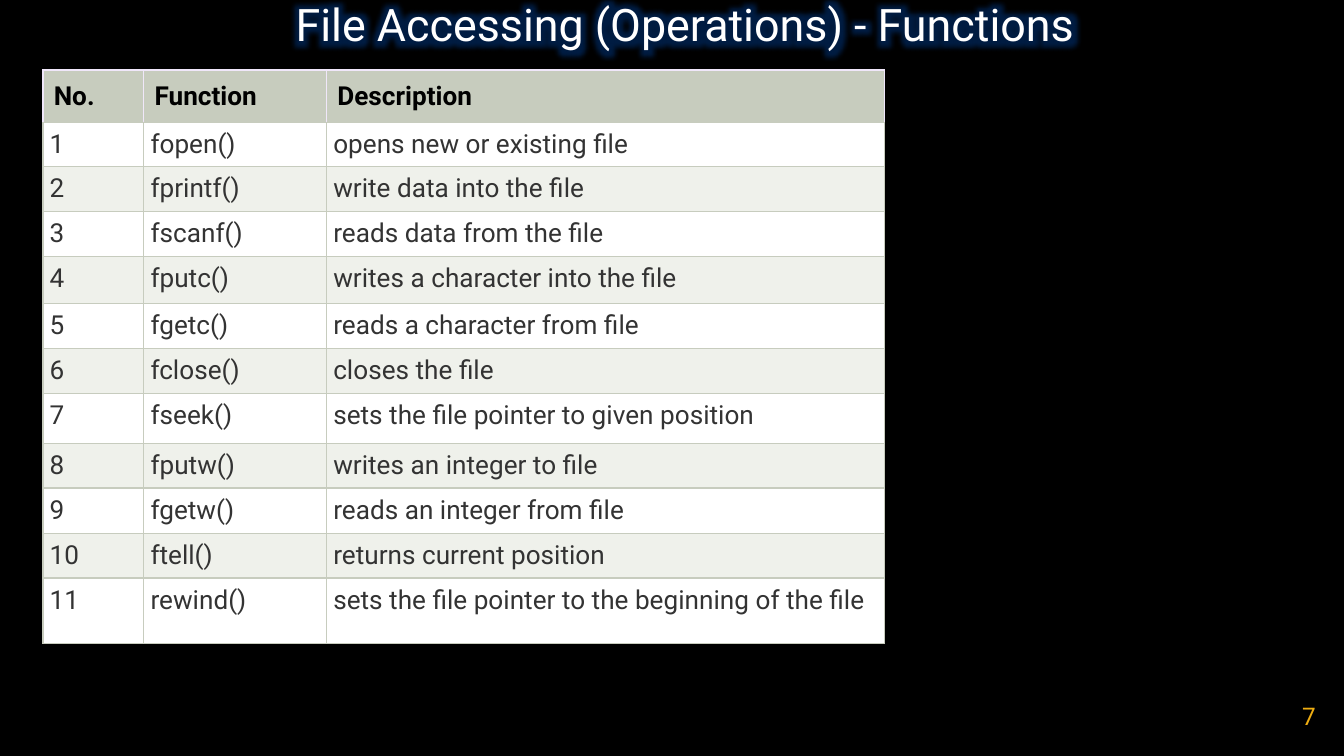
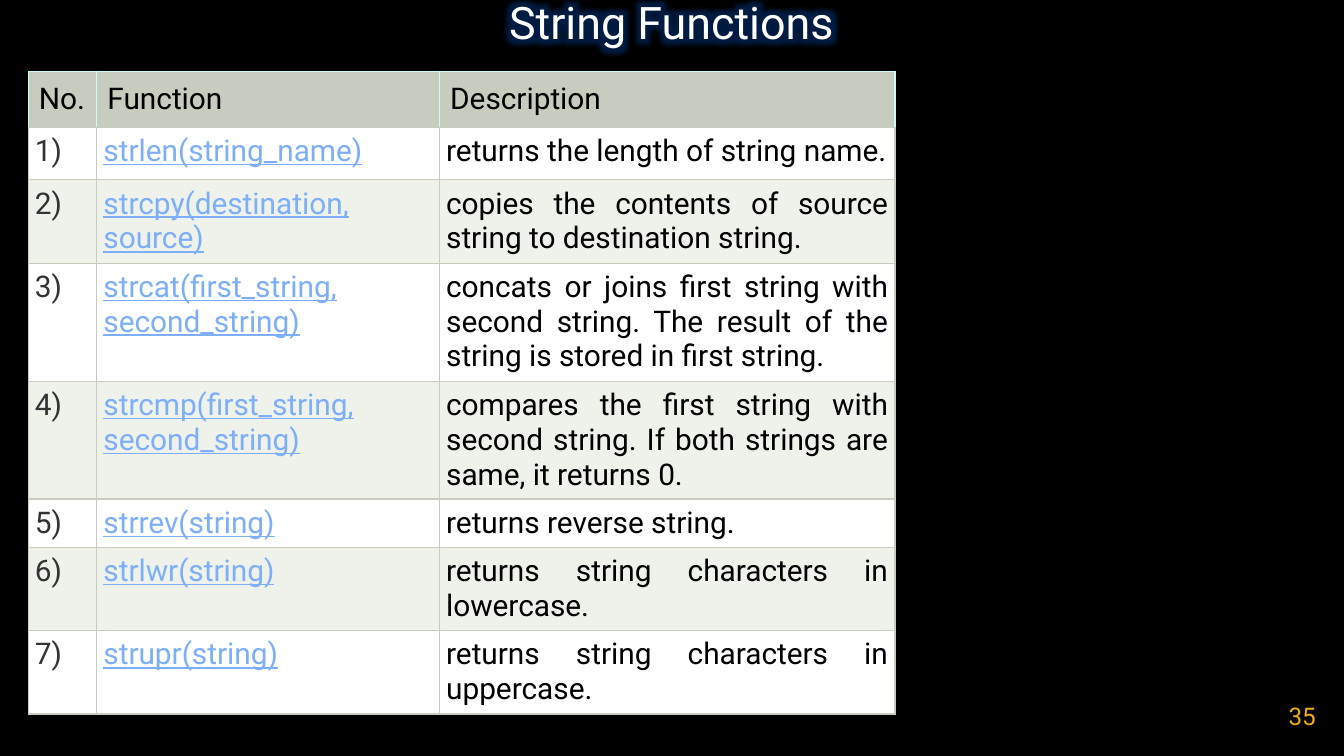
from lxml import etree
from pptx import Presentation
from pptx import util as u
from pptx.dml.color import RGBColor
from pptx.enum import text
from pptx.oxml import ns

FONT = "Roboto"
BLACK, WHITE, GREY = "000000", "FFFFFF", "333333"
SAGE, PALE_SAGE = "C7CCBE", "EFF1EB"
LILAC, AQUA = "F0E7FA", "C8FBFB"
GOLD, LINK_BLUE, GLOW = "EEAD12", "7CAEFA", "0060E0"
HEADINGS = ("No.", "Function", "Description")

FILE_FUNCTIONS = [
    ("fopen()", "opens new or existing file"),
    ("fprintf()", "write data into the file"),
    ("fscanf()", "reads data from the file"),
    ("fputc()", "writes a character into the file"),
    ("fgetc()", "reads a character from file"),
    ("fclose()", "closes the file"),
    ("fseek()", "sets the file pointer to given position"),
    ("fputw()", "writes an integer to file"),
    ("fgetw()", "reads an integer from file"),
    ("ftell()", "returns current position"),
    ("rewind()", "sets the file pointer to the beginning of the file"),
]
STRING_FUNCTIONS = [
    ("strlen(string_name)", "returns the length of string name."),
    ("strcpy(destination, source)",
     "copies the contents of source string to destination string."),
    ("strcat(first_string, second_string)",
     "concats or joins first string with second string. "
     "The result of the string is stored in first string."),
    ("strcmp(first_string, second_string)",
     "compares the first string with second string. "
     "If both strings are same, it returns 0."),
    ("strrev(string)", "returns reverse string."),
    ("strlwr(string)", "returns string characters in lowercase."),
    ("strupr(string)", "returns string characters in uppercase."),
]


def rgb(color):
    return RGBColor.from_string(color)


def set_font(paragraph, size, color, bold=False, underline=False):
    font = paragraph.font
    font.name, font.size = FONT, u.Pt(size)
    font.bold, font.underline = bold, underline
    font.color.rgb = rgb(color)


def set_frame(frame):
    """Drop the insets and centre the text vertically."""
    frame.word_wrap = True
    frame.auto_size = text.MSO_AUTO_SIZE.NONE
    frame.vertical_anchor = text.MSO_ANCHOR.MIDDLE
    frame.margin_left = frame.margin_right = 0
    frame.margin_top = frame.margin_bottom = 0


def add_glow(run):
    effects = etree.SubElement(run._r.get_or_add_rPr(), ns.qn("a:effectLst"))
    glow = etree.SubElement(effects, ns.qn("a:glow"), rad=str(u.Pt(11)))
    color = etree.SubElement(glow, ns.qn("a:srgbClr"), val=GLOW)
    etree.SubElement(color, ns.qn("a:alpha"), val="30000")


def add_slide(prs, title, left, top, number):
    """Add a black slide with its glowing title and its page number."""
    slide = prs.slides.add_slide(prs.slide_layouts[5])
    slide.background.fill.solid()
    slide.background.fill.fore_color.rgb = rgb(BLACK)

    heading = slide.shapes.title
    heading.left, heading.top = u.Inches(left), u.Inches(top)
    heading.width, heading.height = u.Inches(7.59), u.Inches(0.43)
    set_frame(heading.text_frame)
    line = heading.text_frame.paragraphs[0]
    line.text = title
    line.alignment = text.PP_ALIGN.CENTER
    line.line_spacing = 0.8
    set_font(line, 24, WHITE)
    add_glow(line.runs[0])

    page = slide.shapes.add_textbox(u.Inches(9.19), u.Inches(5.11),
                                    u.Inches(0.6), u.Inches(0.43))
    set_frame(page.text_frame)
    line = page.text_frame.paragraphs[0]
    line.text = str(number)
    line.alignment = text.PP_ALIGN.RIGHT
    set_font(line, 13, GOLD)
    return slide


def set_borders(cell, color):
    """Draw the left, right and top sides in color, the bottom in sage."""
    sides = {"a:lnL": color, "a:lnR": color, "a:lnT": color, "a:lnB": SAGE}
    for tag, side_color in sides.items():
        side = etree.SubElement(cell._tc.get_or_add_tcPr(), ns.qn(tag),
                                w=str(u.Pt(0.75)))
        fill = etree.SubElement(side, ns.qn("a:solidFill"))
        etree.SubElement(fill, ns.qn("a:srgbClr"), val=side_color)


def fill_cell(cell, words, fill, border, inset):
    """Style the cell, write its words and return their paragraph."""
    set_borders(cell, border)
    cell.fill.solid()
    cell.fill.fore_color.rgb = rgb(fill)
    cell.margin_left = cell.margin_right = u.Inches(inset)
    cell.margin_top = cell.margin_bottom = u.Inches(inset)
    line = cell.text_frame.paragraphs[0]
    line.text = words
    return line


def add_function_table(slide, left, top, widths, heights, rows, size,
                       header_border, colors, bold_header=False, links=False):
    table = slide.shapes.add_table(
        len(heights), len(widths), u.Inches(left), u.Inches(top),
        u.Inches(sum(widths)), u.Inches(sum(heights))).table
    for column, width in zip(table.columns, widths):
        column.width = u.Inches(width)
    for row, height in zip(table.rows, heights):
        row.height = u.Inches(height)

    for c, words in enumerate(HEADINGS):
        line = fill_cell(table.cell(0, c), words, SAGE, header_border, 0.08)
        set_font(line, size, BLACK, bold=bold_header)
    for r, row in enumerate(rows, 1):
        band = WHITE if r % 2 else PALE_SAGE
        for c, words in enumerate(row):
            line = fill_cell(table.cell(r, c), words, band, SAGE, 0.05)
            line.alignment = text.PP_ALIGN.JUSTIFY
            set_font(line, size, colors[c], underline=links and c == 1)


def numbered(functions, suffix=""):
    return [(f"{n}{suffix}", *entry) for n, entry in enumerate(functions, 1)]


def main():
    prs = Presentation()
    prs.slide_width = u.Inches(10)
    prs.slide_height = prs.slide_width * 9 // 16

    files = add_slide(prs, "File Accessing (Operations) - Functions", 1.3, 0, 7)
    add_function_table(
        files, 0.32, 0.52, (0.75, 1.36, 4.15),
        (0.38, 0.33, 0.33, 0.34, 0.35, 0.33, 0.34, 0.37, 0.33, 0.34, 0.33, 0.49),
        numbered(FILE_FUNCTIONS), 14, LILAC, (GREY, GREY, GREY),
        bold_header=True)

    strings = add_slide(prs, "String Functions", 1.2, -0.02, 35)
    add_function_table(
        strings, 0.21, 0.53, (0.51, 2.55, 3.39),
        (0.41, 0.39, 0.62, 0.88, 0.87, 0.36, 0.62, 0.62),
        numbered(STRING_FUNCTIONS, ")"), 16, AQUA, (GREY, LINK_BLUE, BLACK),
        links=True)

    prs.save("out.pptx")


if __name__ == "__main__":
    main()
